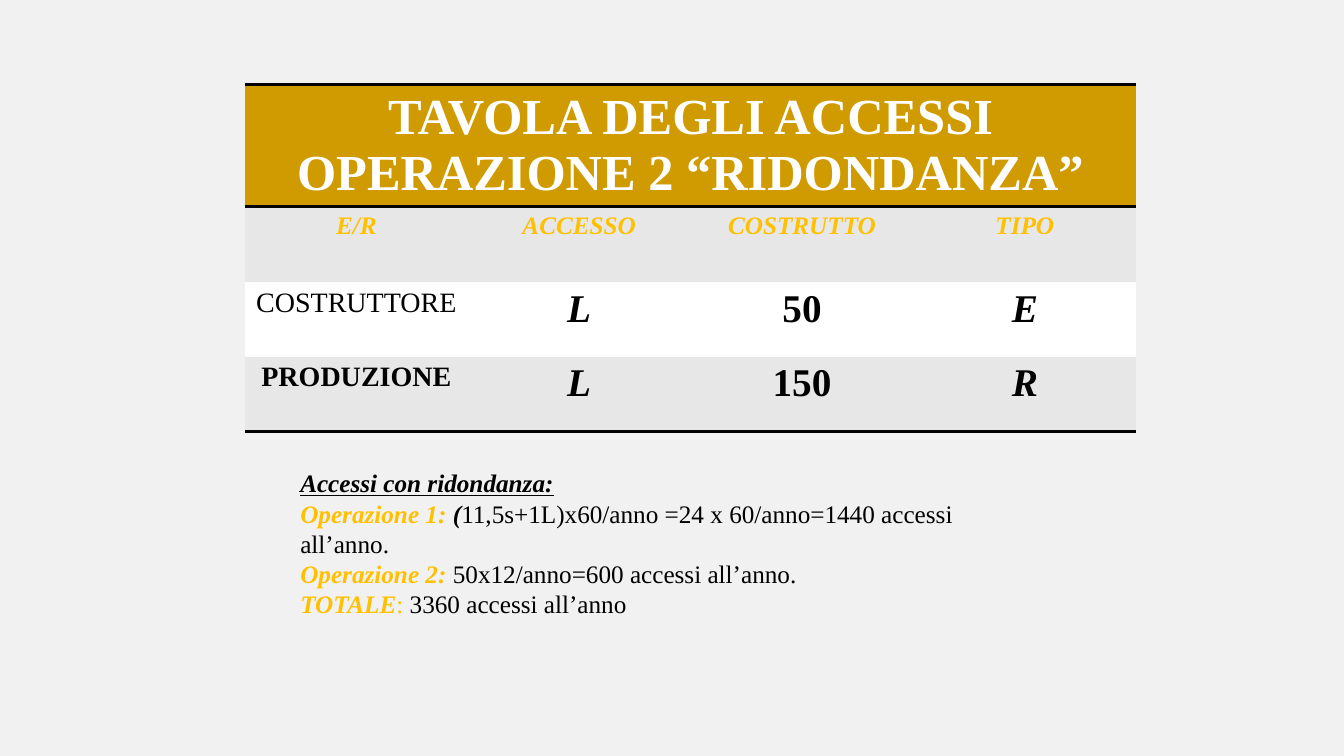
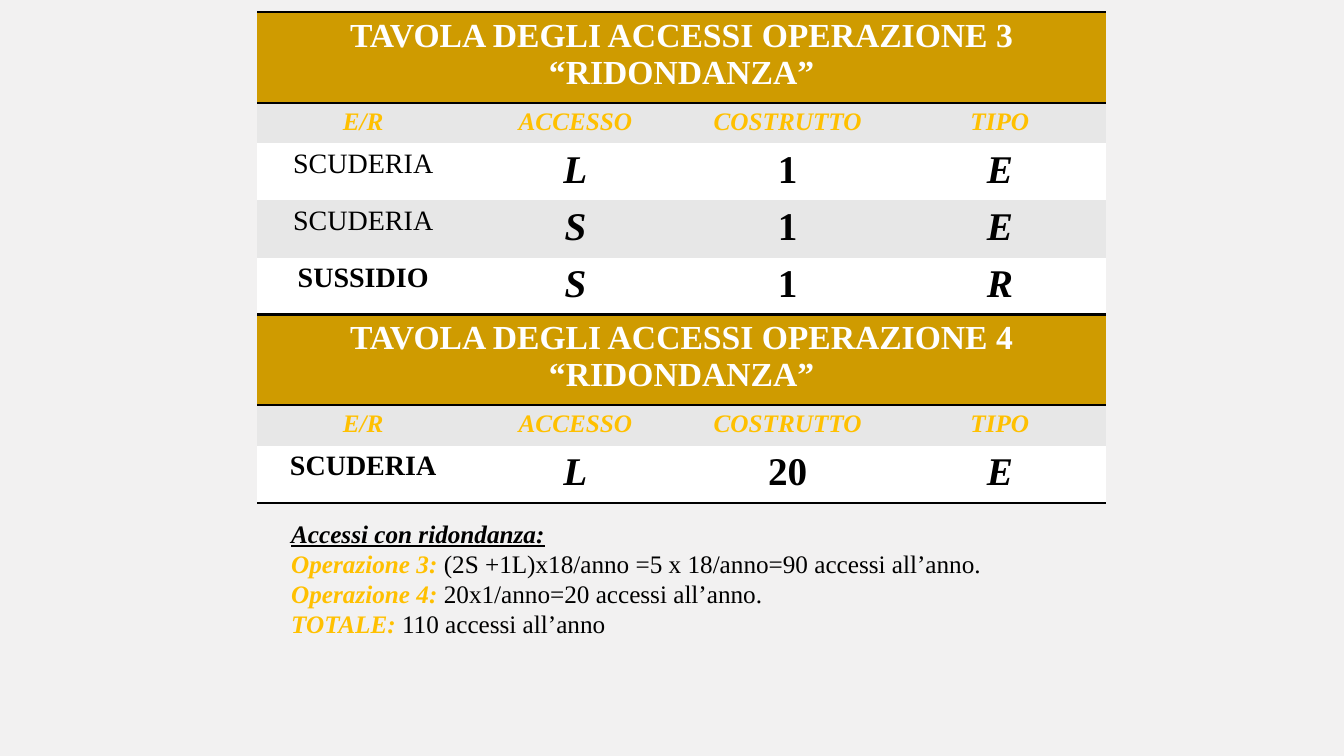
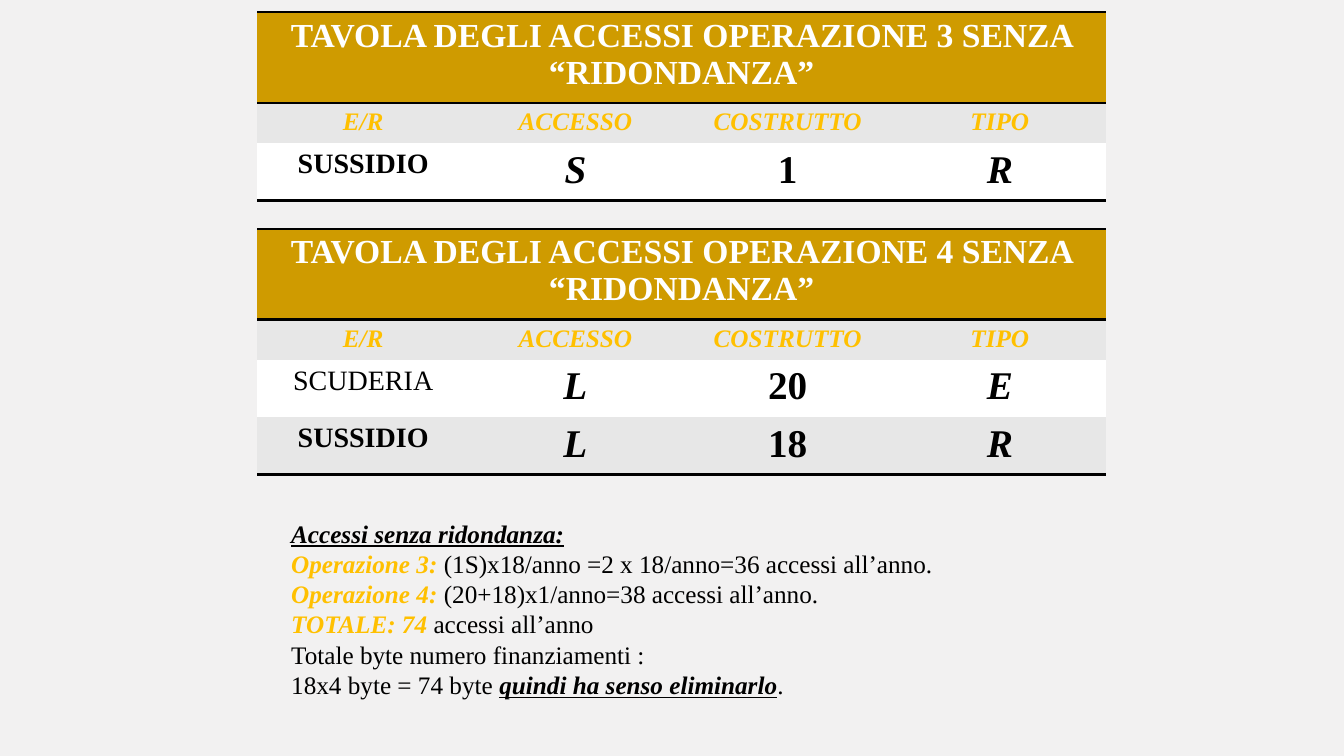
from lxml import etree
from pptx import Presentation
from pptx.dml.color import RGBColor
from pptx.enum.text import MSO_AUTO_SIZE, PP_ALIGN
from pptx.oxml.ns import qn
from pptx.util import Inches, Pt

CENTER = PP_ALIGN.CENTER
GROW = MSO_AUTO_SIZE.SHAPE_TO_FIT_TEXT

FONT = "Times New Roman"
BACKGROUND = "F2F1F1"
BAND_GOLD = "CF9B00"
YELLOW = "FFC000"
GREY = "E7E7E7"
WHITE = "FFFFFF"
BLACK = "000000"

RULE_WIDTH = 2
PLAIN_TABLE_STYLE = "{2D5ABB26-0587-4C30-8999-92F81FD0307C}"
HEADINGS = ["E/R", "ACCESSO", "COSTRUTTO", "TIPO"]

# style name: (colour, bold and italic, underlined)
NOTE_STYLES = {
    "underlined": (BLACK, True, True),
    "label": (YELLOW, True, False),
    "strong": (BLACK, True, False),
    "accent": (YELLOW, False, False),
    "plain": (BLACK, False, False),
}


def rgb(color):
    return RGBColor.from_string(color)


def set_font(font, size, color, bold=False, italic=False):
    font.name = FONT
    font.size = Pt(size)
    font.color.rgb = rgb(color)
    font.bold = bold
    font.italic = italic


def add_rule(cell, edge):
    """Draw a black border on one edge of a cell: lnT or lnB."""
    line = etree.SubElement(cell._tc.get_or_add_tcPr(), qn(f"a:{edge}"),
                            w=str(Pt(RULE_WIDTH)))
    fill = etree.SubElement(line, qn("a:solidFill"))
    etree.SubElement(fill, qn("a:srgbClr"), val=BLACK)


def fill_cell(cell, text, fill, edges, **font):
    for edge in edges:
        add_rule(cell, edge)
    cell.fill.solid()
    cell.fill.fore_color.rgb = rgb(fill)
    paragraph = cell.text_frame.paragraphs[0]
    paragraph.text = text
    paragraph.alignment = CENTER
    set_font(paragraph.font, **font)


def add_access_table(slide, left, top, width, title, accesses,
                     title_size=24, heights=(0.82, 0.37, 0.53)):
    """heights: the title row, the headings row and each access row."""
    title_height, headings_height, access_height = heights
    row_heights = [title_height, headings_height] + [access_height] * len(accesses)
    table = slide.shapes.add_table(
        len(row_heights), len(HEADINGS), Inches(left), Inches(top),
        Inches(width), Inches(sum(row_heights))).table
    table._tbl.tblPr.find(qn("a:tableStyleId")).text = PLAIN_TABLE_STYLE
    for row, height in zip(table.rows, row_heights):
        row.height = Inches(height)

    table.cell(0, 0).merge(table.cell(0, len(HEADINGS) - 1))
    for column, heading in enumerate(HEADINGS):
        fill_cell(table.cell(0, column), "" if column else title, BAND_GOLD,
                  ["lnT", "lnB"], size=title_size, color=WHITE, bold=True)
        fill_cell(table.cell(1, column), heading, GREY, [],
                  size=18, color=YELLOW, bold=True, italic=True)

    for number, access in enumerate(accesses):
        last = number == len(accesses) - 1
        for column, value in enumerate(access):
            is_name = column == 0
            fill_cell(table.cell(number + 2, column), value,
                      GREY if number % 2 else WHITE, ["lnB"] if last else [],
                      size=20 if is_name else 28, color=BLACK,
                      bold=last or not is_name, italic=column in (1, 3))


def add_notes_box(slide, left, top, width, height, lines):
    """lines: lists of (text, style name) pairs."""
    frame = slide.shapes.add_textbox(
        Inches(left), Inches(top), Inches(width), Inches(height)).text_frame
    frame.word_wrap = True
    frame.auto_size = GROW
    for number, line in enumerate(lines):
        paragraph = frame.add_paragraph() if number else frame.paragraphs[0]
        for text, style in line:
            color, strong, underlined = NOTE_STYLES[style]
            run = paragraph.add_run()
            run.text = text
            set_font(run.font, 18, color, strong, strong)
            run.font.underline = underlined


def add_blank_slide(prs):
    return prs.slides.add_slide(prs.slide_layouts[6])


def build_operation_2(prs):
    slide = add_blank_slide(prs)
    add_access_table(
        slide, 2.43, 0.84, 8.84,
        "TAVOLA DEGLI ACCESSI OPERAZIONE 2 “RIDONDANZA”",
        [("COSTRUTTORE", "L", "50", "E"), ("PRODUZIONE", "L", "150", "R")],
        title_size=36, heights=(1.21, 0.75, 0.74))
    add_notes_box(slide, 2.88, 4.59, 7.57, 1.92, [
        [("Accessi con ridondanza:", "underlined")],
        [("Operazione 1:", "label"), (" (", "strong"),
         ("11,5s+1L)x60/anno =24 x 60/anno=1440 accessi all’anno.", "plain")],
        [("Operazione 2: ", "label"),
         ("50x12/anno=600 accessi all’anno.", "plain")],
        [("TOTALE", "label"), (": ", "accent"),
         ("3360 accessi all’anno", "plain")],
    ])


def build_operations_3_and_4(prs, title_end, accesses_3, accesses_4,
                             second_top, notes_height, notes):
    slide = add_blank_slide(prs)
    tables = [(3, 0.12, accesses_3), (4, second_top, accesses_4)]
    for operation, top, accesses in tables:
        title = f"TAVOLA DEGLI ACCESSI OPERAZIONE {operation} {title_end}"
        add_access_table(slide, 2.55, top, 8.42, title, accesses)
    add_notes_box(slide, 2.79, 5.09, 10.5, notes_height, notes)


def main():
    prs = Presentation()
    prs.slide_width = Inches(13.33)
    prs.slide_height = Inches(7.5)
    background = prs.slide_master.background.fill
    background.solid()
    background.fore_color.rgb = rgb(BACKGROUND)

    build_operation_2(prs)
    build_operations_3_and_4(
        prs, "“RIDONDANZA”",
        [("SCUDERIA", "L", "1", "E"), ("SCUDERIA", "S", "1", "E"),
         ("SUSSIDIO", "S", "1", "R")],
        [("SCUDERIA", "L", "20", "E")],
        second_top=3.12, notes_height=1.31, notes=[
            [("Accessi con ridondanza:", "underlined")],
            [("Operazione 3: ", "label"),
             ("(2S +1L)x18/anno =5 x 18/anno=90 accessi all’anno.", "plain")],
            [("Operazione 4: ", "label"),
             ("20x1/anno=20 accessi all’anno.", "plain")],
            [("TOTALE: ", "label"), ("110 accessi all’anno", "plain")],
        ])
    build_operations_3_and_4(
        prs, "SENZA “RIDONDANZA”",
        [("SUSSIDIO", "S", "1", "R")],
        [("SCUDERIA", "L", "20", "E"), ("SUSSIDIO", "L", "18", "R")],
        second_top=2.27, notes_height=1.92, notes=[
            [("Accessi senza ridondanza:", "underlined")],
            [("Operazione 3: ", "label"),
             ("(1S)x18/anno =2 x 18/anno=36 accessi all’anno.", "plain")],
            [("Operazione 4: ", "label"),
             ("(20+18)x1/anno=38 accessi all’anno.", "plain")],
            [("TOTALE: 74", "label"), (" accessi all’anno", "plain")],
            [("Totale byte numero finanziamenti :", "plain")],
            [("18x4 byte = 74 byte ", "plain"),
             ("quindi ha senso eliminarlo", "underlined"), (".", "plain")],
        ])
    prs.save("out.pptx")


if __name__ == "__main__":
    main()
